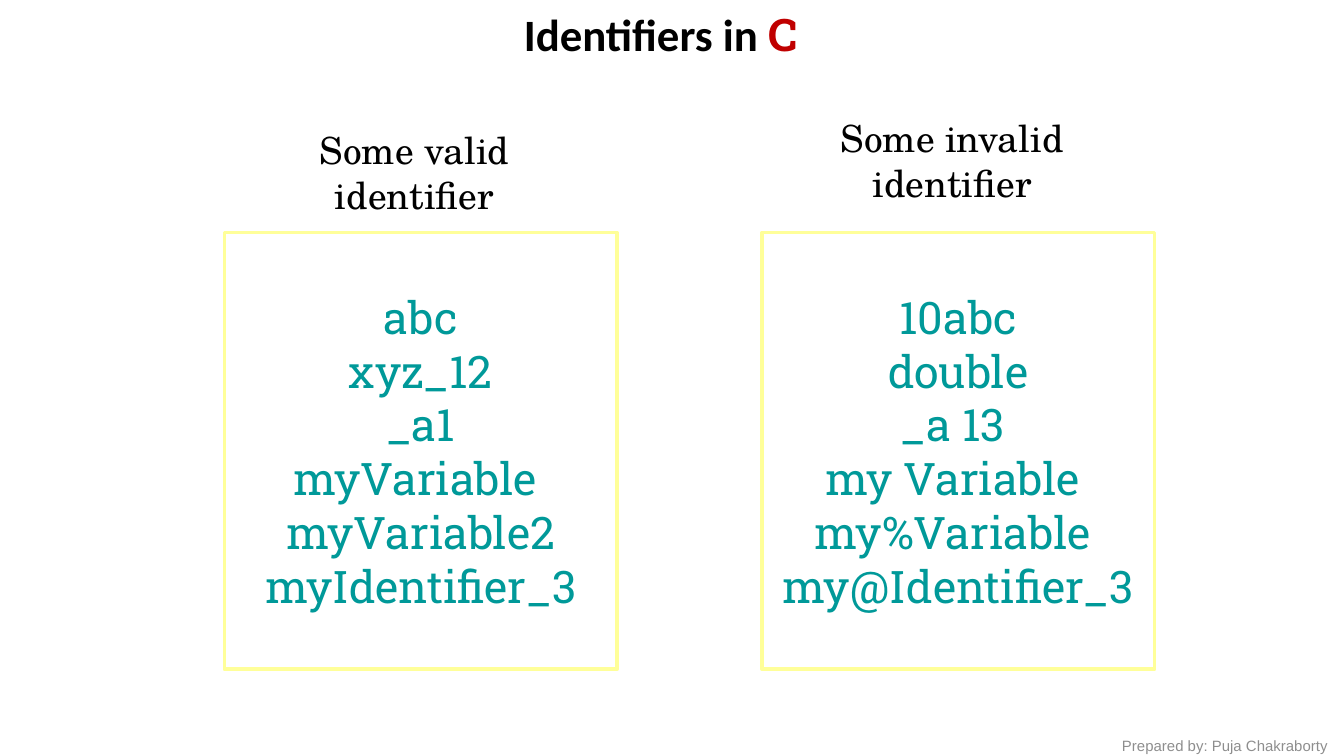
from dataclasses import dataclass

from pptx import Presentation
from pptx.dml.color import RGBColor
from pptx.enum import shapes, text
from pptx.util import Inches, Pt

WIDTH = 10
HEIGHT = WIDTH * 9 / 16


@dataclass(frozen=True)
class Font:
    name: str
    size: int
    color: str
    bold: bool = False


class Theme:
    paper = RGBColor.from_string("FFFFFF")
    frame = RGBColor.from_string("FFFF99")
    frame_width = Pt(2)
    title = Font("Calibri", 24, "000000", True)
    accent = Font("Roboto Slab", 24, "C00000", True)
    head = Font("TeX Gyre Schola", 20, "000000")
    names = Font("Roboto Slab", 24, "009999")
    credit = Font("Arial", 8, "8E8E8E")


# Box left, heading top, heading, identifiers
COLUMNS = [
    (1.67, 0.9, "Some valid\nidentifier",
     "abc\nxyz_12\n_a1\nmyVariable \nmyVariable2\nmyIdentifier_3"),
    (5.67, 0.81, "Some invalid\nidentifier",
     "10abc\ndouble\n_a 13 \nmy Variable \nmy%Variable \nmy@Identifier_3"),
]


def style(run, font):
    run.font.name = font.name
    run.font.size = Pt(font.size)
    run.font.bold = font.bold
    run.font.color.rgb = RGBColor.from_string(font.color)


def write(frame, words, font, align):
    frame.word_wrap = True
    frame.text = words
    for line in frame.paragraphs:
        line.alignment = align
        for run in line.runs:
            style(run, font)


def add_label(slide, place, words, font, align=text.PP_ALIGN.CENTER):
    label = slide.shapes.add_textbox(*map(Inches, place))
    write(label.text_frame, words, font, align)
    label.text_frame.auto_size = text.MSO_AUTO_SIZE.SHAPE_TO_FIT_TEXT
    return label


def add_box(slide, place, words):
    box = slide.shapes.add_shape(
        shapes.MSO_SHAPE.RECTANGLE, *map(Inches, place))
    box.shadow.inherit = False
    box.fill.solid()
    box.fill.fore_color.rgb = Theme.paper
    box.line.color.rgb = Theme.frame
    box.line.width = Theme.frame_width
    box.text_frame.vertical_anchor = text.MSO_ANCHOR.MIDDLE
    write(box.text_frame, words, Theme.names, text.PP_ALIGN.CENTER)


def add_title(slide):
    title = add_label(slide, (1.83, 0, 6.17, 0.5), "Identifiers in ",
                      Theme.title)
    letter = title.text_frame.paragraphs[0].add_run()
    letter.text = "C"
    style(letter, Theme.accent)


def main():
    deck = Presentation()
    deck.slide_width, deck.slide_height = Inches(WIDTH), Inches(HEIGHT)
    slide = deck.slides.add_slide(deck.slide_layouts[6])

    add_label(slide, (8.25, 5.43, 1.83, 0.24), "Prepared by: Puja Chakraborty",
              Theme.credit, text.PP_ALIGN.LEFT)
    add_title(slide)
    for left, top, head, names in COLUMNS:
        add_box(slide, (left, 1.73, 2.92, 3.25), names)
    for left, top, head, names in COLUMNS:
        add_label(slide, (left + 0.33, top, 2.17, 0.77), head, Theme.head)

    deck.save("out.pptx")


if __name__ == "__main__":
    main()
